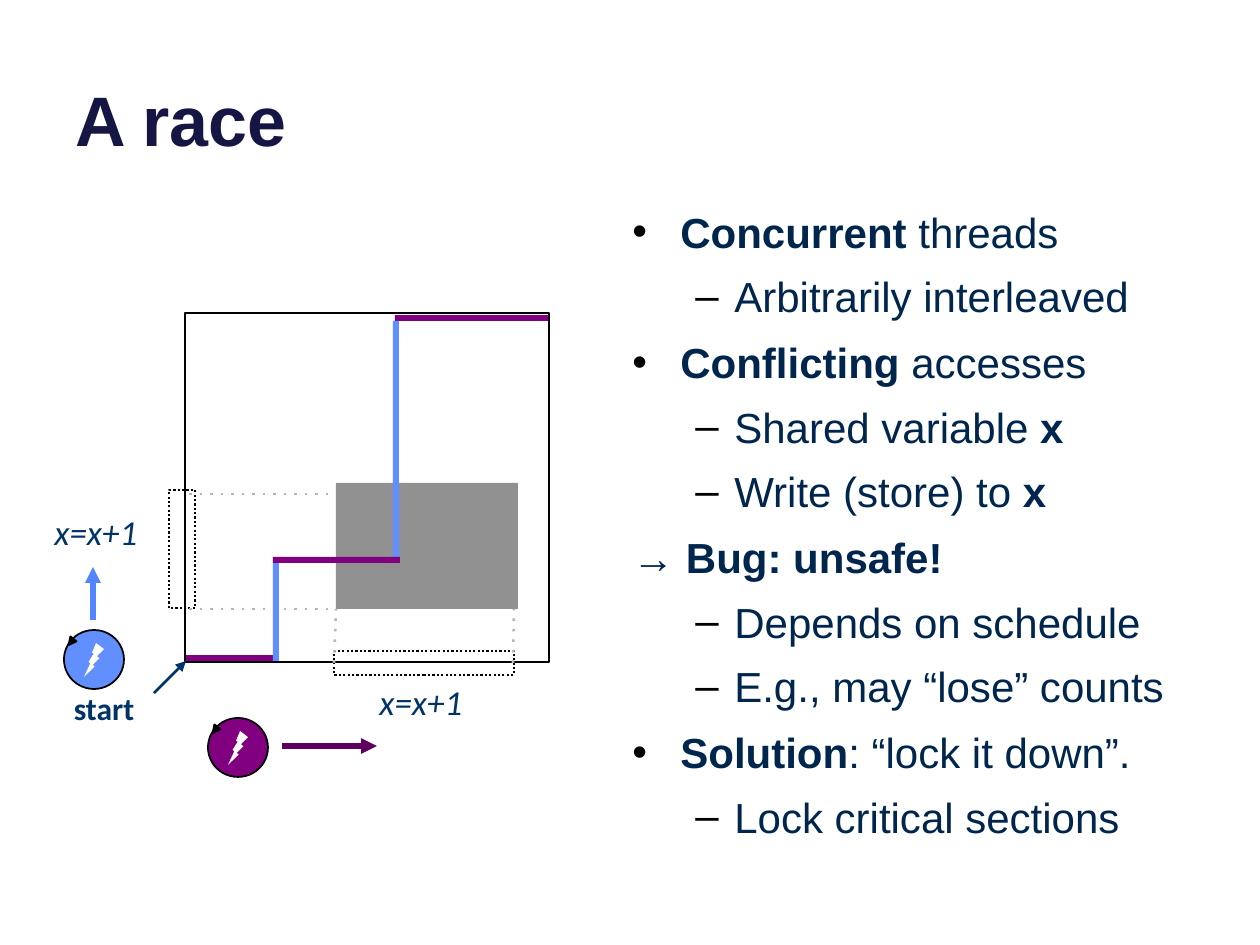
from pptx import Presentation
from pptx.dml.color import RGBColor
from pptx.enum.shapes import MSO_CONNECTOR, MSO_SHAPE
from pptx.enum.text import MSO_ANCHOR, PP_ALIGN
from pptx.oxml.ns import qn
from pptx.util import Emu, Pt
from lxml import etree

RECT, OVAL = MSO_SHAPE.RECTANGLE, MSO_SHAPE.OVAL
BOLT, TRIANGLE = MSO_SHAPE.LIGHTNING_BOLT, MSO_SHAPE.ISOSCELES_TRIANGLE
STRAIGHT = MSO_CONNECTOR.STRAIGHT

COLORS = {
    "title": "161645", "body": "00264D", "label": "003367", "black": "000000",
    "white": "FFFFFF", "blue": "618FFD", "purple": "800080", "conflict": "919191",
    "blue arrow": "5385FF", "purple arrow": "5D005E", "guide": "B5B5B5",
}

# Kind of paragraph, then its runs; runs between asterisks are bold
BODY = [
    ("point", "*Concurrent* threads"),
    ("detail", "Arbitrarily interleaved"),
    ("point", "*Conflicting* accesses"),
    ("detail", "Shared variable *x*"),
    ("detail", "Write (store) to *x*"),
    ("result", "*→ Bug: unsafe!*"),
    ("detail", "Depends on schedule"),
    ("detail", "E.g., may “lose” counts"),
    ("point", "*Solution*: “lock it down”."),
    ("detail", "Lock critical sections"),
]
# Bullet, left margin px, hanging px, space before pt
STYLES = {"point": ("•", 48, 48, 9), "detail": ("–", 102, 39, 8), "result": (None, 0, 0, 9)}

CONFLICT_AREA = (336, 483, 182, 126)
FRAME = (185, 313, 364, 349)
UPPER_PATH = [("purple", (395, 315, 154, 6)), ("blue", (393, 321, 6, 241)),
              ("purple", (185, 655, 89, 6))]
LOWER_PATH = [("blue", (273, 562, 6, 99)), ("purple", (273, 557, 127, 6))]
CRITICAL_SECTIONS = [(334, 651, 180, 24), (169, 490, 26, 118)]
THREADS = [("blue", 64, 630), ("purple", 208, 718)]
# Color, from, to, width pt
ARROWS = [
    ("blue arrow", (93, 620), (93, 567), 3),
    ("purple arrow", (282, 746), (377, 746), 3),
    ("label", (154, 693), (186, 661), 1.5),
]
GUIDES = [((189, 494), (336, 494)), ((189, 609), (336, 609)),
          ((334, 663), (336, 609)), ((513, 663), (514, 609))]
LABELS = [((367, 674, 136, 97), "x=x+1"), ((42, 504, 136, 55), "x=x+1")]


def px(length):
    return Emu(round(length * 914400 / 126))


def color(name):
    return RGBColor.from_string(COLORS[name])


def add_part(parent, box, fill=None, outline=None, width=1, preset=RECT):
    part = parent.shapes.add_shape(preset, *map(px, box))
    part.shadow.inherit = False
    if fill:
        part.fill.solid()
        part.fill.fore_color.rgb = color(fill)
    else:
        part.fill.background()
    if outline:
        part.line.color.rgb = color(outline)
        part.line.width = Pt(width)
    else:
        part.line.fill.background()
    return part


def set_dash(part, dash):
    etree.SubElement(part.line._get_or_add_ln(), qn("a:prstDash"), val=dash)


def add_line(slide, start, end, name, width):
    line = slide.shapes.add_connector(STRAIGHT, *map(px, start + end))
    line.line.color.rgb = color(name)
    line.line.width = Pt(width)
    etree.SubElement(line.element.spPr, qn("a:effectLst"))
    return line


def add_thread(slide, name, left, top):
    """Circle with a bolt and a small arrowhead on its rim."""
    icon = slide.shapes.add_group_shape()
    add_part(icon, (left, top, 60, 59), name, "black", preset=OVAL)
    bolt = add_part(icon, (left + 20, top + 13, 20, 34), "white", preset=BOLT)
    bolt.element.spPr.find(qn("a:xfrm")).set("flipH", "1")
    head = add_part(icon, (left + 3, top + 8, 8, 8), "black", "black", preset=TRIANGLE)
    head.rotation = 219


def set_font(font, family, size, name, bold=None, italic=None):
    font.name, font.size = family, Pt(size)
    font.bold, font.italic = bold, italic
    font.color.rgb = color(name)


def add_text(slide, box, text=""):
    frame = slide.shapes.add_textbox(*map(px, box)).text_frame
    frame.word_wrap = True
    frame.text = text
    return frame, frame.paragraphs[0]


def add_body(slide):
    frame, paragraph = add_text(slide, (620, 200, 614, 567))
    for index, (kind, text) in enumerate(BODY):
        bullet, margin, hanging, space = STYLES[kind]
        if index:
            paragraph = frame.add_paragraph()
            paragraph.space_before = Pt(space)
        if bullet:
            props = paragraph._p.get_or_add_pPr()
            props.set("marL", str(px(margin)))
            props.set("indent", str(-px(hanging)))
            bullet_color = etree.SubElement(props, qn("a:buClr"))
            etree.SubElement(bullet_color, qn("a:srgbClr"), val=COLORS["black"])
            etree.SubElement(props, qn("a:buFont"), typeface="Arial")
            etree.SubElement(props, qn("a:buChar"), char=bullet)
        if kind == "detail":
            paragraph.level = 1
        set_font(paragraph.font, "Arial", 24, "body")
        for position, piece in enumerate(text.split("*")):
            if piece:
                run = paragraph.add_run()
                run.text = piece
                run.font.bold = position % 2 == 1


def main():
    deck = Presentation()
    deck.slide_width, deck.slide_height = px(1260), px(945)
    slide = deck.slides.add_slide(deck.slide_layouts[6])

    add_part(slide, CONFLICT_AREA, "conflict")
    title_frame, title = add_text(slide, (63, -47, 1134, 214), "A race")
    title_frame.vertical_anchor = MSO_ANCHOR.BOTTOM
    set_font(title.font, "Arial", 40, "title", bold=True)
    add_body(slide)

    for name, box in UPPER_PATH:
        add_part(slide, box, name)
    add_part(slide, FRAME, outline="black")
    for thread in THREADS:
        add_thread(slide, *thread)
    for name, start, end, width in ARROWS:
        arrow = add_line(slide, start, end, name, width)
        etree.SubElement(arrow.line._get_or_add_ln(), qn("a:tailEnd"), type="triangle")
    for box in CRITICAL_SECTIONS:
        set_dash(add_part(slide, box, outline="black", width=1.25), "sysDot")

    _, start_label = add_text(slide, (52, 683, 104, 50), "start")
    start_label.alignment = PP_ALIGN.CENTER
    set_font(start_label.font, "Calibri", 18, "label", bold=True)
    for box, text in LABELS:
        _, label = add_text(slide, box, text)
        set_font(label.font, "Calibri", 20, "label", italic=True)

    for start, end in GUIDES:
        set_dash(add_line(slide, start, end, "guide", 1.5), "dot")
    for name, box in LOWER_PATH:
        add_part(slide, box, name)
    deck.save("out.pptx")


if __name__ == "__main__":
    main()
